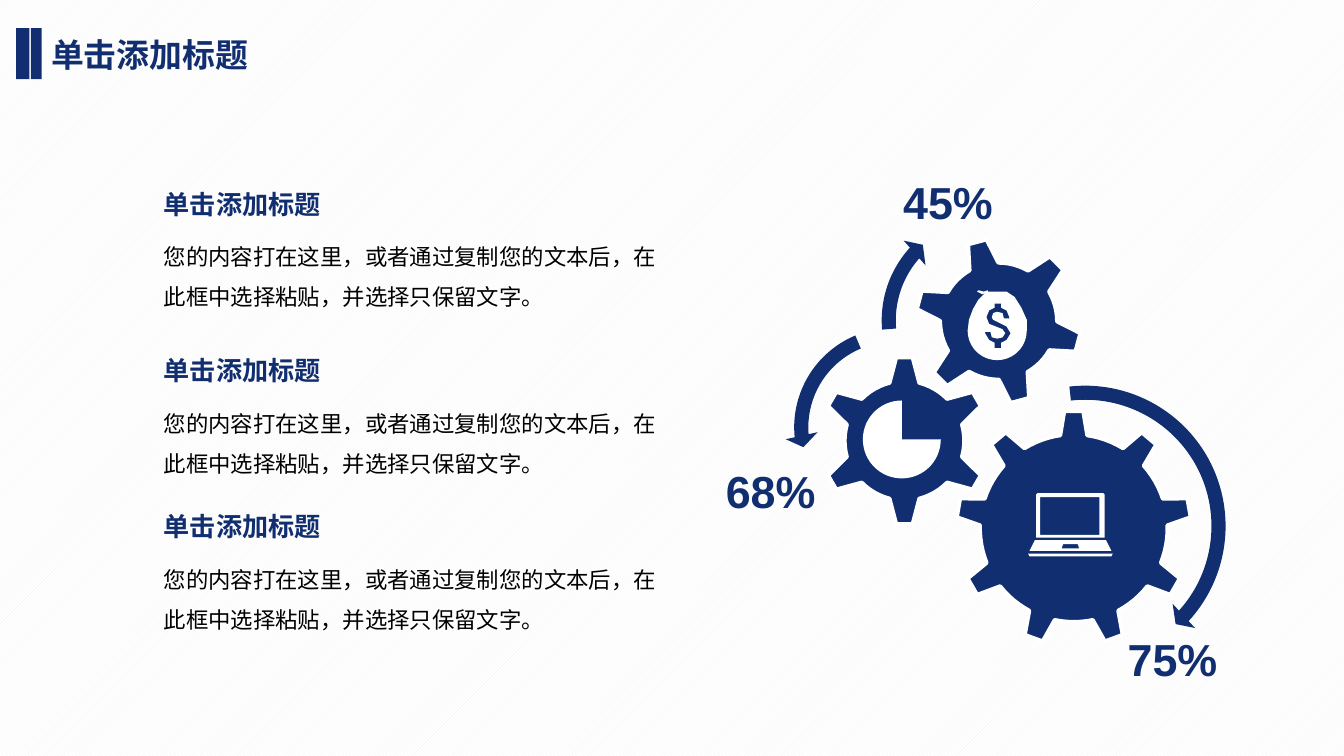
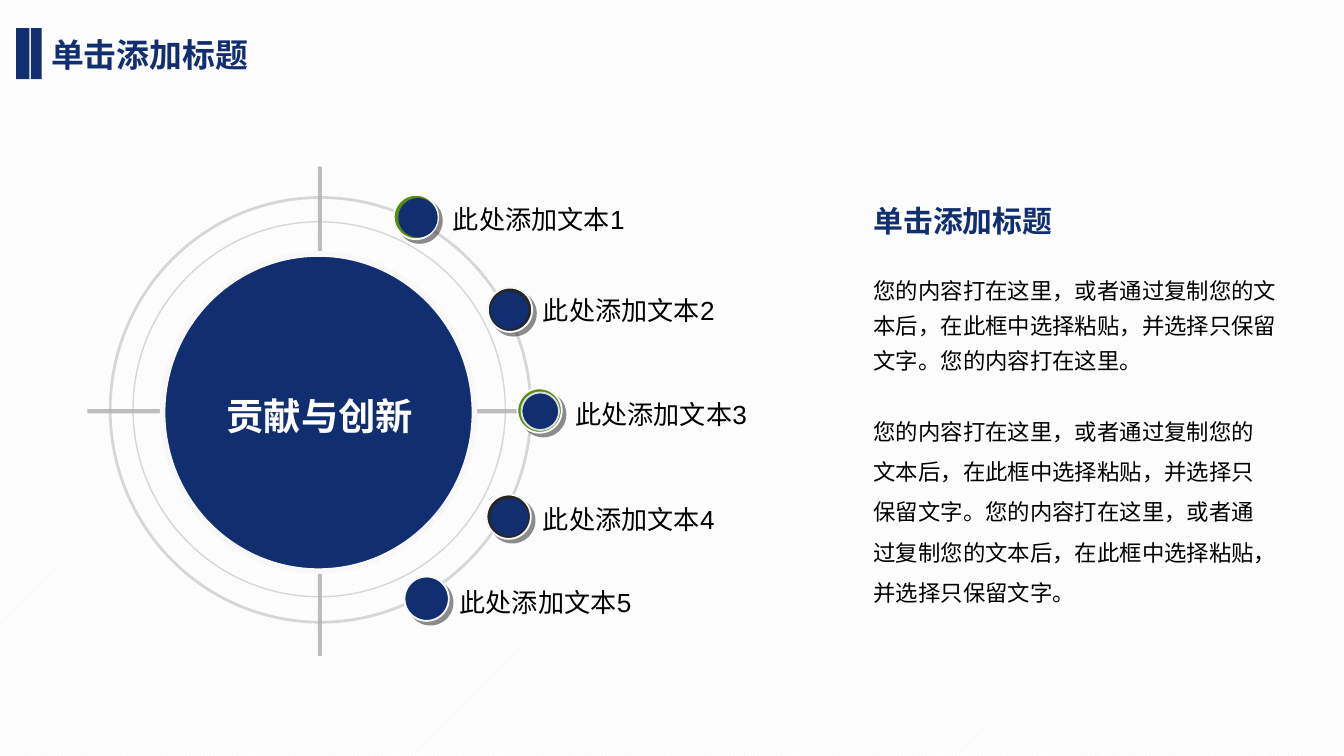
import math

import lxml.etree
import pptx
import pptx.dml.color
import pptx.enum.dml
import pptx.enum.shapes
import pptx.enum.text
import pptx.oxml
import pptx.oxml.ns
import pptx.util

Inches = pptx.util.Inches
RGBColor = pptx.dml.color.RGBColor
Preset = pptx.enum.shapes.MSO_SHAPE
Anchor = pptx.enum.text.MSO_ANCHOR
Align = pptx.enum.text.PP_ALIGN
qn = pptx.oxml.ns.qn

NAVY = RGBColor(0x11, 0x2F, 0x70)
BLACK = RGBColor(0, 0, 0)
WHITE = RGBColor(255, 255, 255)
PATTERN_GRAY = RGBColor(0xF2, 0xF2, 0xF2)
AXIS_GRAY = RGBColor(0x80, 0x80, 0x80)
RING_GRAY = RGBColor(0xB2, 0xB2, 0xB2)
RIM_GRAY = RGBColor(0xDD, 0xDD, 0xDD)
OFF_WHITE = RGBColor(0xF8, 0xF8, 0xF8)
GREEN = RGBColor(0x56, 0x8D, 0x11)
CHARCOAL = RGBColor(0x26, 0x26, 0x26)
CJK_FONT = "Noto Sans CJK SC"
HEADING = "单击添加标题"
PROMPT = "您的内容打在这里，或者通过复制您的文本后，在此框中选择粘贴，并选择只保留文字。"


def write_text(shape, text, size=12, color=BLACK, font=CJK_FONT, bold=False, wrap=True,
               spacing=None, align=Align.LEFT, anchor=Anchor.TOP, inset=(0.1, 0.05), grow=True):
    frame = shape.text_frame
    frame.word_wrap = wrap
    frame.vertical_anchor = anchor
    frame.margin_left = frame.margin_right = Inches(inset[0])
    frame.margin_top = frame.margin_bottom = Inches(inset[1])
    if grow:
        frame.auto_size = pptx.enum.text.MSO_AUTO_SIZE.SHAPE_TO_FIT_TEXT
    paragraph = frame.paragraphs[0]
    paragraph.alignment = align
    paragraph.line_spacing = spacing
    run = paragraph.add_run()
    run.text = text
    run.font.size = pptx.util.Pt(size)
    run.font.bold = bold
    run.font.color.rgb = color
    run.font.name = font
    east_asian = lxml.etree.SubElement(run.font._element, qn("a:ea"))
    east_asian.set("typeface", CJK_FONT)


def style_shape(shape, fill=None, line=None, width=1, alpha=None):
    shape.shadow.inherit = False
    if fill is None:
        shape.fill.background()
    else:
        shape.fill.solid()
        shape.fill.fore_color.rgb = fill
    if line is None:
        shape.line.fill.background()
    else:
        shape.line.color.rgb = line
        shape.line.width = pptx.util.Pt(width)
    if alpha is not None:
        color = shape.line._ln.find(".//" + qn("a:srgbClr"))
        lxml.etree.SubElement(color, qn("a:alpha")).set("val", str(alpha * 1000))


presentation = pptx.Presentation()
presentation.slide_width = Inches(10)
presentation.slide_height = presentation.slide_width * 9 // 16

# Shared background, title and bars
slides = []
for _ in range(2):
    slide = presentation.slides.add_slide(presentation.slide_layouts[5])
    background = slide.background.fill
    background.patterned()
    background.pattern = pptx.enum.dml.MSO_PATTERN.LIGHT_UPWARD_DIAGONAL
    background.fore_color.rgb = PATTERN_GRAY
    background.back_color.rgb = WHITE
    title = slide.shapes.title
    title.left, title.top, title.width, title.height = map(Inches, (0.28, 0.21, 2.42, 0.4))
    write_text(title, HEADING, size=17.6, color=NAVY, bold=True)
    for left, width in ((0.12, 0.1), (0.23, 0.08)):
        bar = slide.shapes.add_shape(Preset.RECTANGLE, *map(Inches, (left, 0.21, width, 0.38)))
        style_shape(bar, NAVY)
    slides.append(slide)
gear_slide, circle_slide = slides

# Slide 1: three text blocks
for top in (1.35, 2.59, 3.75):
    body = gear_slide.shapes.add_textbox(*map(Inches, (1.12, top + 0.31, 3.9, 0.67)))
    write_text(body, PROMPT, spacing=1.5)
    heading = gear_slide.shapes.add_textbox(*map(Inches, (1.12, top, 1.38, 0.34)))
    write_text(heading, HEADING, size=14, color=NAVY, bold=True, wrap=False)

# Curved arrows around the gears
for preset, left, top, size, adjustments in (
    (Preset.CIRCULAR_ARROW, 6.96, 2.8, 2.23, (0.047, 2.99, 25.393, 158.123, 0.055)),
    (Preset.LEFT_CIRCULAR_ARROW, 5.84, 2.37, 1.62, (0.065, 4.3, 104.891, 148.378, 0.075)),
    (Preset.CIRCULAR_ARROW, 6.49, 1.51, 1.75, (0.06, 3.941, 133.138, 105.082, 0.07)),
):
    arrow = gear_slide.shapes.add_shape(preset, *map(Inches, (left, top, size, size)))
    for index, value in enumerate(adjustments):
        arrow.adjustments[index] = value
    style_shape(arrow, NAVY)

# Gear outlines: each tooth is four corners, followed by an arc to the next tooth
outlines = []
for center_x, center_y, teeth, turn, tip, tip_half, base, base_half in (
    (7.99, 3.93, 9, 0, 0.87, 0.07, 0.69, 0.1),
    (6.73, 3.28, 6, 0, 0.62, 0.06, 0.43, 0.11),
    (7.43, 2.39, 6, -15, 0.61, 0.07, 0.42, 0.11),
):
    step = 2 * math.pi / teeth
    radius = math.hypot(base, base_half)
    base_angle = math.atan2(base_half, base)
    tip_angle = math.atan2(tip_half, tip)
    tip_radius = math.hypot(tip, tip_half)
    corners = [(-base_angle, radius), (-tip_angle, tip_radius), (tip_angle, tip_radius)]
    corners += [(base_angle + (step - 2 * base_angle) * part / 6, radius) for part in range(6)]
    gear = []
    for tooth in range(teeth):
        for angle, distance in corners:
            direction = math.radians(turn) + tooth * step + angle
            gear.append((center_x + distance * math.sin(direction),
                         center_y - distance * math.cos(direction)))
    outlines.append(([gear], NAVY, WHITE))

# Icons: laptop, three-quarter pie and money bag
laptop = [
    [(7.7, 4.02), (7.66, 4.1), (8.27, 4.1), (8.23, 4.02)],
    [(7.9, 4.08), (7.91, 4.05), (8.02, 4.05), (8.03, 4.08)],
    [(7.71, 4), (7.71, 3.68), (7.72, 3.67), (8.21, 3.67), (8.22, 3.68), (8.22, 4)],
    [(7.74, 3.98), (7.74, 3.7), (8.18, 3.7), (8.18, 3.98)],
    [(7.65, 4.12), (7.66, 4.14), (8.27, 4.14), (8.28, 4.12)],
]
pie = [(6.71, 3.27)]
pie += [(6.71 + 0.29 * math.cos(math.radians(angle)), 3.27 + 0.29 * math.sin(math.radians(angle)))
        for angle in range(0, 271, 6)]
bag = [(7.49, 2.17), (7.35, 2.17), (7.35, 2.16), (7.32, 2.17), (7.28, 2.16), (7.27, 2.17),
       (7.31, 2.19), (7.33, 2.18), (7.28, 2.23), (7.24, 2.3), (7.21, 2.38)]
bag += [(7.42 - 0.22 * math.cos(math.radians(angle)), 2.46 + 0.22 * math.sin(math.radians(angle)))
        for angle in range(0, 181, 10)]
bag += [(7.64, 2.38), (7.6, 2.29), (7.55, 2.21)]
dollar = [
    (7.49, 2.53), (7.45, 2.55), (7.45, 2.59), (7.4, 2.59), (7.4, 2.55), (7.36, 2.53), (7.33, 2.48),
    (7.33, 2.47), (7.37, 2.47), (7.38, 2.51), (7.42, 2.52), (7.46, 2.51), (7.48, 2.48), (7.46, 2.45),
    (7.41, 2.43), (7.36, 2.41), (7.34, 2.36), (7.36, 2.31), (7.4, 2.29), (7.4, 2.26), (7.45, 2.26),
    (7.45, 2.29), (7.49, 2.31), (7.51, 2.36), (7.51, 2.37), (7.47, 2.37), (7.46, 2.33), (7.42, 2.32),
    (7.39, 2.33), (7.38, 2.36), (7.39, 2.38), (7.43, 2.4), (7.49, 2.43), (7.52, 2.48),
]
outlines += [(laptop, WHITE, None), ([pie], WHITE, None), ([bag, dollar], WHITE, None)]

for contours, fill, line in outlines:
    builder = None
    for contour in contours:
        points = [(Inches(x), Inches(y)) for x, y in contour]
        if builder is None:
            builder = gear_slide.shapes.build_freeform(*points[0])
        else:
            builder.move_to(*points[0])
        builder.add_line_segments(points[1:], close=True)
    style_shape(builder.convert_to_shape(), fill, line, width=2)

# Percentages
for text, left, top in (("45%", 6.65, 1.26), ("68%", 5.33, 3.41), ("75%", 8.32, 4.66)):
    percentage = gear_slide.shapes.add_textbox(*map(Inches, (left, top, 0.82, 0.48)))
    write_text(percentage, text, size=24, color=NAVY, font="Arial", bold=True, wrap=False,
               inset=(0.07, 0.04))

# Slide 2: cross lines
for ends in ((0.65, 3.06, 4.11, 3.06), (2.38, 1.24, 2.38, 4.88)):
    axis = circle_slide.shapes.add_connector(pptx.enum.shapes.MSO_CONNECTOR.STRAIGHT,
                                             *map(Inches, ends))
    axis.line.color.rgb = AXIS_GRAY
    axis.line.width = pptx.util.Pt(2.25)
    axis_color = axis.line._ln.find(".//" + qn("a:srgbClr"))
    lxml.etree.SubElement(axis_color, qn("a:alpha")).set("val", "50000")
    lxml.etree.SubElement(axis._element.spPr, qn("a:effectLst"))

# Rings and central disc
for left, top, width, height, fill, line, weight, alpha in (
    (0.99, 1.65, 2.77, 2.79, None, RING_GRAY, 0.75, 50),
    (0.82, 1.47, 3.13, 3.16, None, RING_GRAY, 1.5, 50),
    (1.21, 1.89, 2.32, 2.36, NAVY, OFF_WHITE, 3, None),
    (1.31, 1.99, 2.12, 2.17, NAVY, None, 0, None),
    (1.7, 2.4, 1.36, 1.39, NAVY, None, 0, None),
):
    disc = circle_slide.shapes.add_shape(Preset.OVAL, *map(Inches, (left, top, width, height)))
    style_shape(disc, fill, line, weight, alpha)
write_text(disc, "贡献与创新", size=20, color=WHITE, font="Arial", bold=True, wrap=False,
           align=Align.CENTER, anchor=Anchor.MIDDLE, grow=False)

# Dots on the outer ring with their labels
SHADOW = (
    '<a:outerShdw xmlns:a="http://schemas.openxmlformats.org/drawingml/2006/main" '
    'blurRad="0" dist="35560" dir="2700000" algn="ctr" rotWithShape="0">'
    '<a:srgbClr val="1C1C1C"><a:alpha val="50000"/></a:srgbClr></a:outerShdw>'
)
for number, (left, top, rim, inner_left, inner_line, label_left, label_top) in enumerate((
    (2.93, 1.45, GREEN, 2.97, NAVY, 3.29, 1.47),
    (3.63, 2.14, CHARCOAL, 3.65, None, 3.96, 2.15),
    (3.85, 2.89, GREEN, 3.88, RIM_GRAY, 4.2, 2.92),
    (3.62, 3.68, CHARCOAL, 3.65, None, 3.96, 3.7),
    (3.01, 4.29, NAVY, 3.04, None, 3.34, 4.32),
), start=1):
    outer = circle_slide.shapes.add_shape(Preset.OVAL, *map(Inches, (left, top, 0.33, 0.33)))
    style_shape(outer, rim, OFF_WHITE)
    outer._element.spPr.find(qn("a:effectLst")).append(pptx.oxml.parse_xml(SHADOW))
    inner = circle_slide.shapes.add_shape(
        Preset.OVAL, *map(Inches, (inner_left, top + 0.03, 0.28, 0.28)))
    style_shape(inner, NAVY, inner_line)
    label = circle_slide.shapes.add_textbox(*map(Inches, (label_left, label_top, 2.03, 0.32)))
    write_text(label, f"此处添加文本{number}", size=14, font="Arial", anchor=Anchor.MIDDLE,
               inset=(0.08, 0.04))

# Text column on the right
for text, top, width, height, text_format in (
    (PROMPT + "您的内容打在这里。", 1.96, 3.31, 1.13, {"spacing": 1.3}),
    (PROMPT * 2, 2.97, 3.15, 1.9, {"spacing": 1.5}),
    (HEADING, 1.47, 1.57, 0.35, {"size": 16, "color": NAVY, "bold": True}),
):
    column = circle_slide.shapes.add_textbox(*map(Inches, (6.42, top, width, height)))
    write_text(column, text, inset=(0.08, 0.04), **text_format)

presentation.save("out.pptx")
